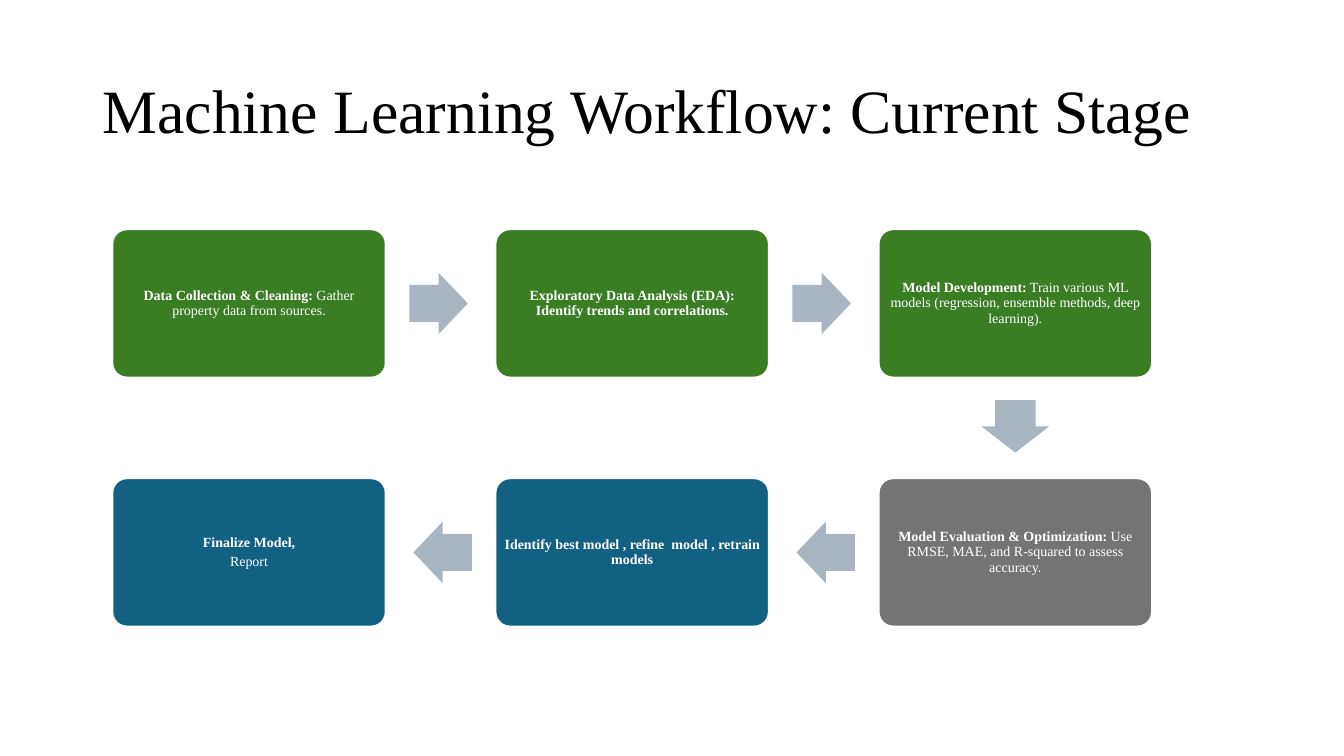
from pptx import Presentation
from pptx.dml.color import RGBColor
from pptx.enum.shapes import MSO_SHAPE
from pptx.enum.text import MSO_ANCHOR, PP_ALIGN
from pptx.util import Inches, Pt

ROUNDED = MSO_SHAPE.ROUNDED_RECTANGLE
ARROW = MSO_SHAPE.RIGHT_ARROW
MIDDLE = MSO_ANCHOR.MIDDLE
CENTER = PP_ALIGN.CENTER
LEFT = PP_ALIGN.LEFT

FONT = "Times New Roman"
COLORS = {
    "title": "000000",
    "text": "FFFFFF",
    "outline": "FFFFFF",
    "done": "3A7D22",
    "current": "747474",
    "next": "126082",
    "arrow": "A9B5C0",
}

CARD_WIDTH, CARD_HEIGHT = 2.72, 1.48
COLUMN_STEP, ROW_STEP = 3.8, 2.47

STAGES = [
    (0, 0, "done", [[("Data Collection & Cleaning:", True),
                     (" Gather property data from sources.", False)]]),
    (1, 0, "done", [[("Exploratory Data Analysis (EDA): Identify trends and correlations.", True)]]),
    (2, 0, "done", [[("Model Development:", True),
                     (" Train various ML models (regression, ensemble methods, deep learning).", False)]]),
    (2, 1, "current", [[("Model Evaluation & Optimization:", True),
                        (" Use RMSE, MAE, and R-squared to assess accuracy.", False)]]),
    (1, 1, "next", [[("Identify best model , refine  model , retrain models", True)]]),
    (0, 1, "next", [[("Finalize Model,", True)], [("Report", False)]]),
]


def color(name):
    return RGBColor.from_string(COLORS[name])


def write_text(frame, paragraphs, size, color_name, alignment, insets):
    frame.word_wrap = True
    frame.vertical_anchor = MIDDLE
    frame.margin_left = frame.margin_right = Inches(insets[0])
    frame.margin_top = frame.margin_bottom = Inches(insets[1])
    for index, runs in enumerate(paragraphs):
        paragraph = frame.add_paragraph() if index else frame.paragraphs[0]
        paragraph.alignment = alignment
        paragraph.line_spacing = 0.9
        if index:
            paragraph.space_before = Pt(3.1)
        for text, bold in runs:
            run = paragraph.add_run()
            run.text = text
            run.font.name = FONT
            run.font.size = Pt(size)
            run.font.bold = bold
            run.font.color.rgb = color(color_name)


def add_filled_shape(slide, kind, box, fill):
    shape = slide.shapes.add_shape(kind, *map(Inches, box))
    shape.shadow.inherit = False
    shape.fill.solid()
    shape.fill.fore_color.rgb = color(fill)
    return shape


def add_title(slide, box, text):
    title = slide.shapes.add_textbox(*map(Inches, box))
    write_text(title.text_frame, [[(text, False)]], 44, "title", LEFT, (0.1, 0.05))


def add_card(slide, left, top, fill, paragraphs):
    card = add_filled_shape(slide, ROUNDED, (left, top, CARD_WIDTH, CARD_HEIGHT), fill)
    card.adjustments[0] = 0.1
    card.line.color.rgb = color("outline")
    card.line.width = Pt(2)
    write_text(card.text_frame, paragraphs, 10, "text", CENTER, (0.05, 0.05))


def add_step_arrow(slide, left, top, across, down):
    length, breadth = (0.52, 0.67) if down else (0.58, 0.61)
    gap = 0.22 if down else 0.23
    center_x = left + CARD_WIDTH / 2 + across * (CARD_WIDTH / 2 + gap + length / 2)
    center_y = top + CARD_HEIGHT / 2 + down * (CARD_HEIGHT / 2 + gap + length / 2)
    box = (center_x - length / 2, center_y - breadth / 2, length, breadth)
    arrow = add_filled_shape(slide, ARROW, box, "arrow")
    arrow.adjustments[0] = 0.6
    arrow.adjustments[1] = 0.5
    arrow.line.fill.background()
    arrow.rotation = 90 if down else 0 if across > 0 else 180


def add_workflow(slide, left, top):
    for index, (column, row, fill, paragraphs) in enumerate(STAGES):
        card_left = left + column * COLUMN_STEP
        card_top = top + row * ROW_STEP
        add_card(slide, card_left, card_top, fill, paragraphs)
        if index + 1 < len(STAGES):
            next_column, next_row = STAGES[index + 1][:2]
            add_step_arrow(slide, card_left, card_top, next_column - column, next_row - row)


def main():
    presentation = Presentation()
    presentation.slide_width = Inches(13.33)
    presentation.slide_height = Inches(7.5)
    slide = presentation.slides.add_slide(presentation.slide_layouts[6])
    add_title(slide, (0.92, 0.4, 11.5, 1.45), "Machine Learning Workflow: Current Stage")
    add_workflow(slide, 1.11, 2.27)
    presentation.save("out.pptx")


if __name__ == "__main__":
    main()
